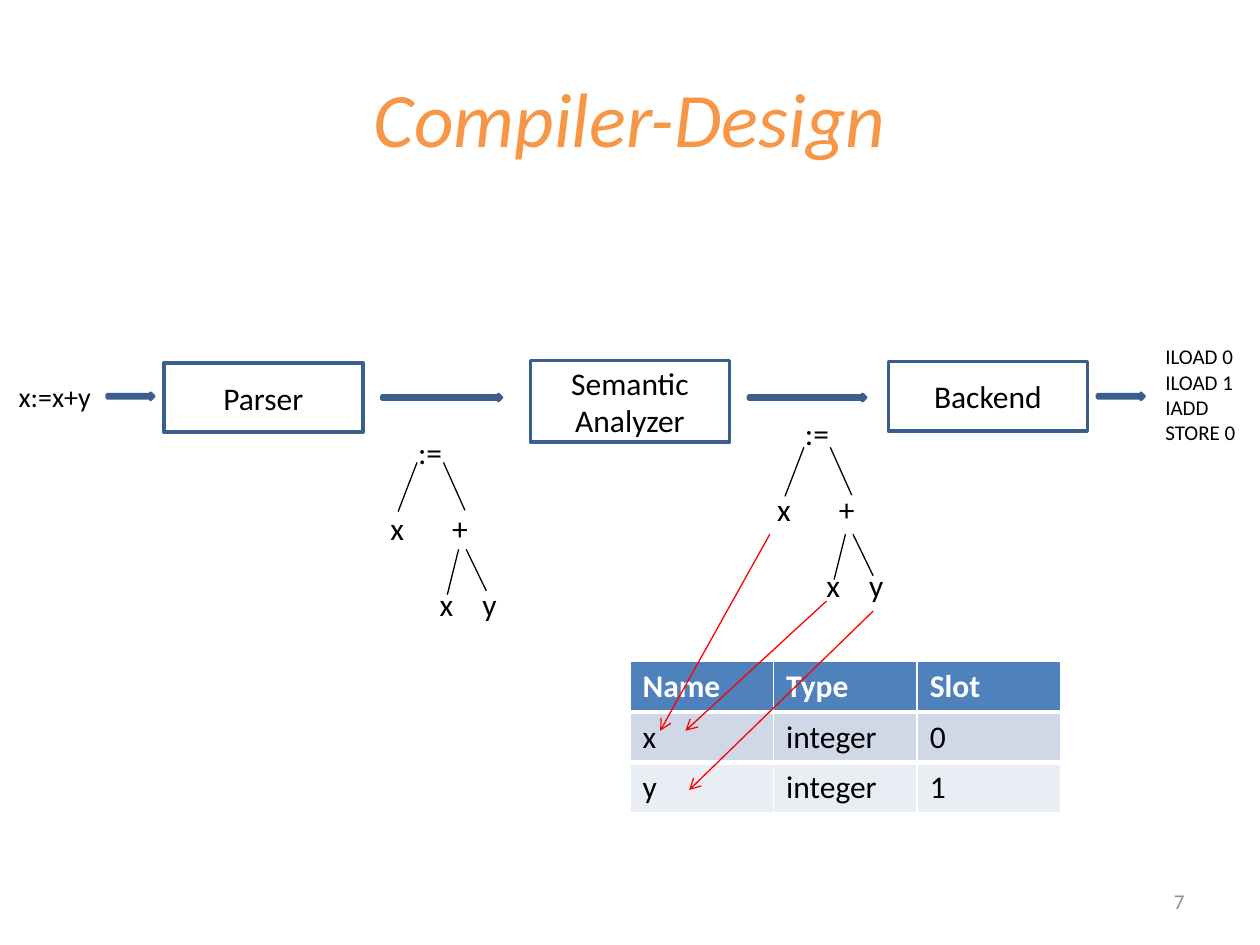
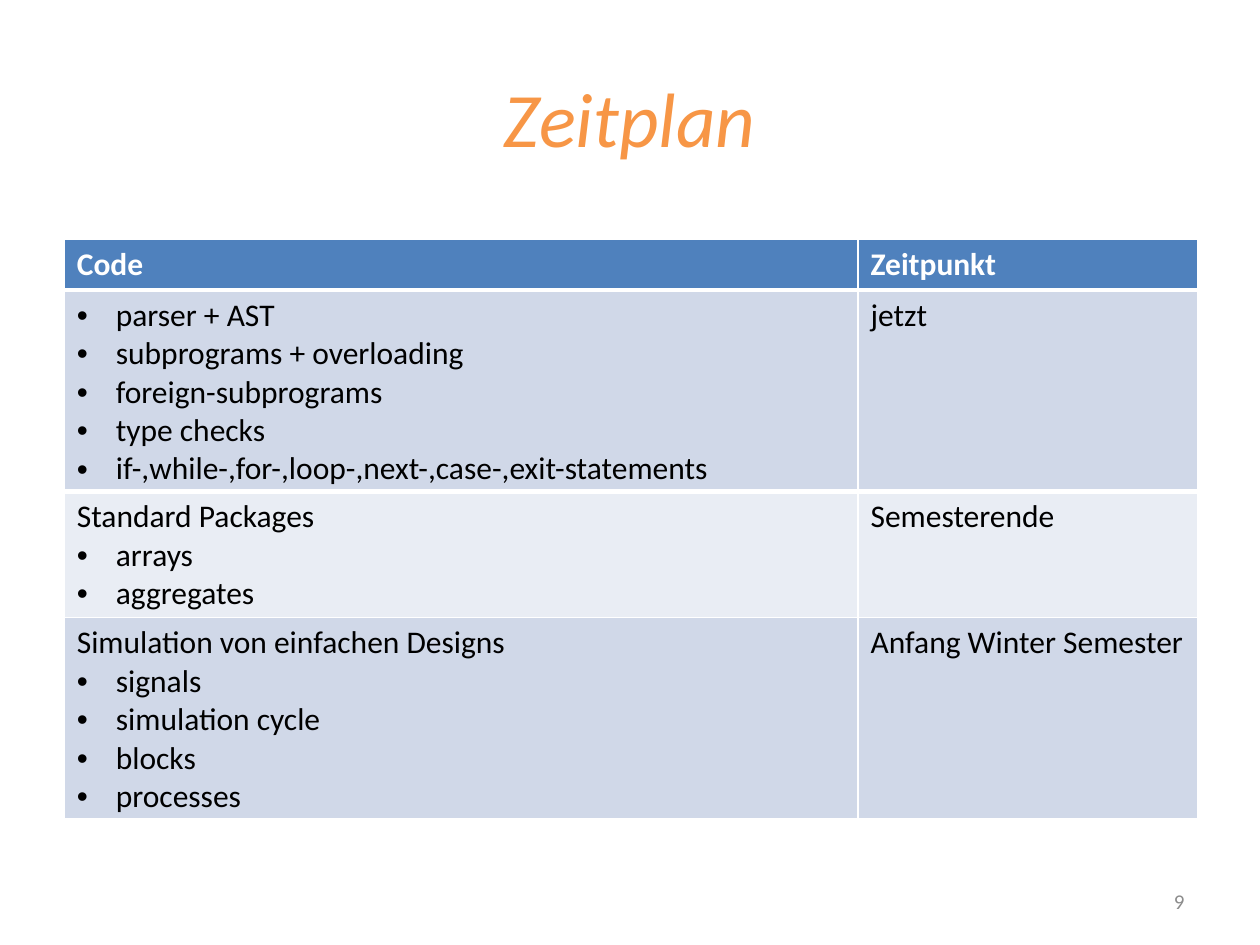
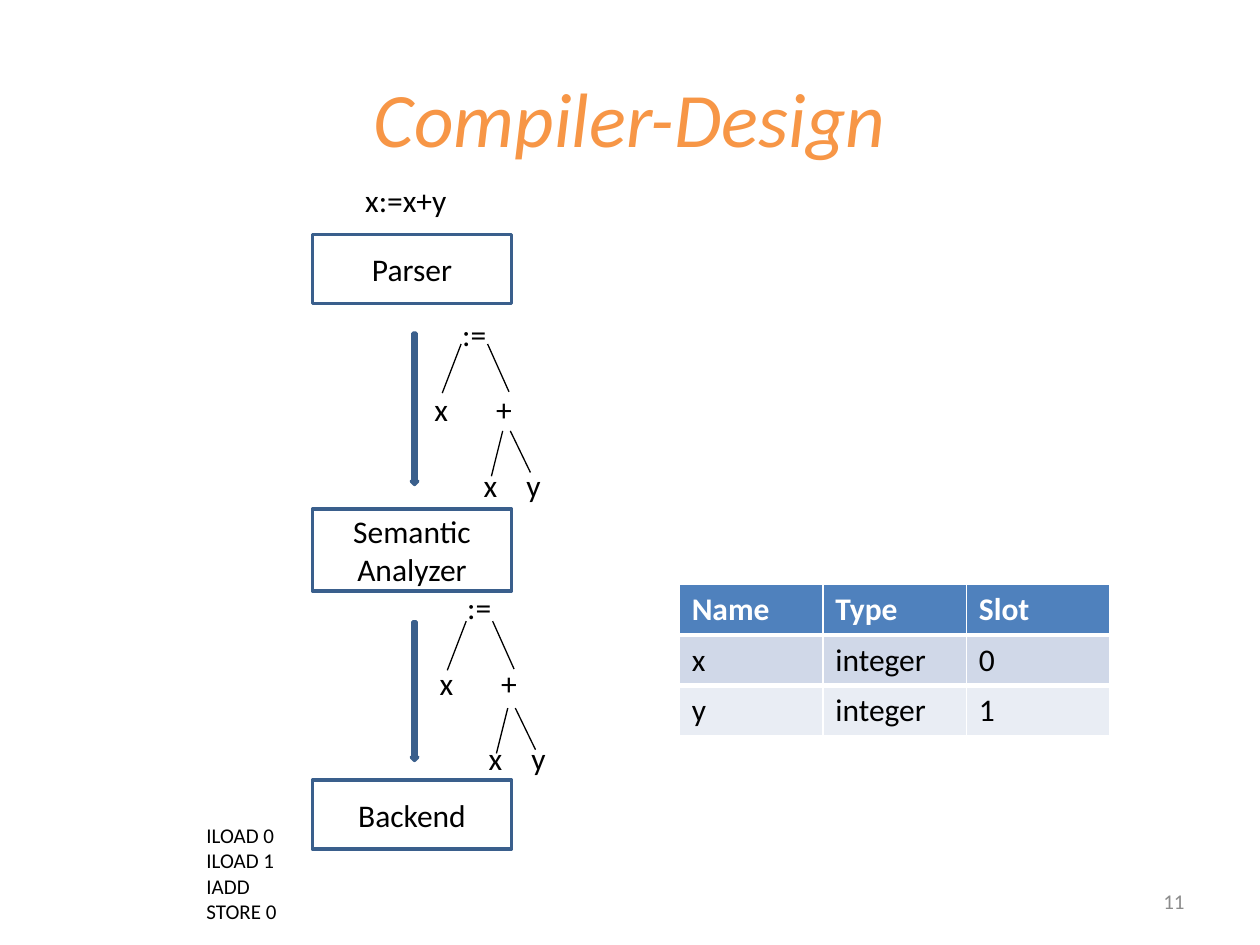
from lxml import etree
from pptx import Presentation
from pptx import util as u
from pptx.dml.color import RGBColor
from pptx.enum import shapes, text
from pptx.oxml import ns

FONT = "Calibri"
ORANGE = RGBColor(0xF7, 0x96, 0x46)
BLUE = RGBColor(0x4F, 0x81, 0xBD)
DARK_BLUE = RGBColor(0x3A, 0x5F, 0x8C)
PALE_BLUE = RGBColor(0xD0, 0xD8, 0xE8)
PALE_GREY = RGBColor(0xE9, 0xED, 0xF4)
GREY = RGBColor(0x8C, 0x8C, 0x8C)
RED = RGBColor(0xFF, 0, 0)
BLACK = RGBColor(0, 0, 0)
WHITE = RGBColor(0xFF, 0xFF, 0xFF)

TITLE_BOX = (0.5, 0.3, 9, 1.25)
NUMBER_BOX = (7.17, 6.95, 2.33, 0.4)
STAGE_WIDTH = 1.58
ARROW_THICKNESS = 0.05
LINE_HEIGHT = 0.3
BULLET_INDENT = 0.31
LEVEL_STEP = 0.6

SOURCE = "x:=x+y"
BYTECODE = "ILOAD 0\nILOAD 1\nIADD\nSTORE 0"
SYMBOLS = [("Name", "Type", "Slot"), ("x", "integer", "0"), ("y", "integer", "1")]
SCHEDULE = [
    ("Code", "Zeitpunkt"),
    ("• parser + AST\n• subprograms + overloading\n• foreign-subprograms\n• type checks\n"
     "• if-,while-,for-,loop-,next-,case-,exit-statements", "jetzt"),
    ("Standard Packages\n• arrays\n• aggregates", "Semesterende"),
    ("Simulation von einfachen Designs\n• signals\n• simulation cycle\n• blocks\n• processes",
     "Anfang Winter Semester"),
]
TREE_LEVELS = [[(":=", 0.22)], [("x", 0), ("+", 0.49)], [("x", 0.39), ("y", 0.73)]]
TREE_BRANCHES = [
    ((0.31, 0.28), (0.16, 0.67)), ((0.52, 0.28), (0.69, 0.66)),
    ((0.7, 0.97), (0.86, 1.3)), ((0.64, 0.97), (0.55, 1.33)),
]


def inches(*lengths):
    """Convert numbers to lengths."""
    return [u.Inches(length) for length in lengths]


def style_text(frame, size, color, align=None, bold=False, italic=False):
    """Format every run of a text frame."""
    for paragraph in frame.paragraphs:
        paragraph.alignment = align
        for run in paragraph.runs:
            font = run.font
            font.name, font.size, font.color.rgb = FONT, u.Pt(size), color
            font.bold, font.italic = bold, italic


def add_label(slide, box, wording, size, color=BLACK, align=None, anchor=text.MSO_ANCHOR.TOP):
    """Add a wrapping text box."""
    frame = slide.shapes.add_textbox(*inches(*box)).text_frame
    frame.word_wrap = True
    frame.vertical_anchor = anchor
    frame.text = wording
    style_text(frame, size, color, align)


def add_titled_slide(deck, title, number):
    """Add a slide with the shared title style and page number."""
    slide = deck.slides.add_slide(deck.slide_layouts[5])
    heading = slide.shapes.title
    heading.left, heading.top, heading.width, heading.height = inches(*TITLE_BOX)
    heading.text_frame.text = title
    style_text(heading.text_frame, 44, ORANGE, text.PP_ALIGN.CENTER, italic=True)
    add_label(slide, NUMBER_BOX, str(number), 12, GREY, text.PP_ALIGN.RIGHT,
              text.MSO_ANCHOR.MIDDLE)
    return slide


def add_outlined(slide, kind, box, fill):
    """Add a preset shape with the dark blue outline."""
    outlined = slide.shapes.add_shape(kind, *inches(*box))
    outlined.shadow.inherit = False
    outlined.fill.solid()
    outlined.fill.fore_color.rgb = fill
    outlined.line.color.rgb = DARK_BLUE
    outlined.line.width = u.Pt(2)
    return outlined


def add_stage(slide, left, top, name, height=0.55):
    """Add one compiler stage."""
    stage = add_outlined(slide, shapes.MSO_SHAPE.RECTANGLE,
                         (left, top, STAGE_WIDTH, height), WHITE)
    stage.text_frame.word_wrap = True
    stage.text_frame.vertical_anchor = text.MSO_ANCHOR.MIDDLE
    stage.text_frame.text = name
    style_text(stage.text_frame, 18, BLACK, text.PP_ALIGN.CENTER)


def add_flow(slide, left, top, length, rotation=0):
    """Add a thin block arrow between stages."""
    flow = add_outlined(slide, shapes.MSO_SHAPE.RIGHT_ARROW,
                        (left, top, length, ARROW_THICKNESS), BLUE)
    flow.rotation = rotation


def add_line(slide, start, end, color=BLACK, arrow=False):
    """Add a thin straight line, with an arrowhead at its end if wanted."""
    line = slide.shapes.add_connector(shapes.MSO_CONNECTOR.STRAIGHT, *inches(*start, *end))
    line.line.color.rgb = color
    line.line.width = u.Pt(0.75)
    if arrow:
        etree.SubElement(line.line._get_or_add_ln(), ns.qn("a:tailEnd"), type="arrow")
    etree.SubElement(line._element.spPr, ns.qn("a:effectLst"))


def add_syntax_tree(slide, left, top, branch_drop=0):
    """Add the syntax tree of the assignment."""
    for depth, level in enumerate(TREE_LEVELS):
        for node, offset in level:
            add_label(slide, (left + offset, top + depth * LEVEL_STEP, 0.5, 0.4), node, 18)
    for branch in TREE_BRANCHES:
        add_line(slide, *((left + x, top + y + branch_drop) for x, y in branch))


def add_border(cell, side):
    """Draw the thick white rule under the header on one side of a cell."""
    border = etree.SubElement(cell._tc.get_or_add_tcPr(), ns.qn(side), w=str(u.Pt(3)))
    paint = etree.SubElement(border, ns.qn("a:solidFill"))
    etree.SubElement(paint, ns.qn("a:srgbClr"), val=str(WHITE))


def fill_cell(cell, wording, row):
    """Fill a table cell, turning marked lines into bullets."""
    lines = wording.split("\n")
    frame = cell.text_frame
    frame.text = "\n".join(line.removeprefix("• ") for line in lines)
    style_text(frame, 18, BLACK if row else WHITE, bold=not row)
    for paragraph, line in zip(frame.paragraphs, lines):
        if line.startswith("•"):
            properties = paragraph._p.get_or_add_pPr()
            properties.set("marL", str(u.Inches(BULLET_INDENT)))
            properties.set("indent", str(-u.Inches(BULLET_INDENT)))
            etree.SubElement(properties, ns.qn("a:buFont"), typeface="Arial")
            etree.SubElement(properties, ns.qn("a:buChar"), char="•")
    if row < 2:
        add_border(cell, "a:lnT" if row else "a:lnB")
    cell.fill.solid()
    cell.fill.fore_color.rgb = (PALE_BLUE if row % 2 else PALE_GREY) if row else BLUE


def add_grid(slide, left, top, widths, rows):
    """Add a banded table whose rows fit their longest cell."""
    heights = [0.1 + LINE_HEIGHT * max(cell.count("\n") + 1 for cell in row) for row in rows]
    grid = slide.shapes.add_table(len(rows), len(widths),
                                  *inches(left, top, sum(widths), sum(heights))).table
    for column, width in zip(grid.columns, widths):
        column.width = u.Inches(width)
    for index, (row, height) in enumerate(zip(rows, heights)):
        grid.rows[index].height = u.Inches(height)
        for column, wording in enumerate(row):
            fill_cell(grid.cell(index, column), wording, index)


def add_symbol_table(slide, left, top):
    """Add the compiler's symbol table."""
    add_grid(slide, left, top, [1.14] * 3, SYMBOLS)


def build_horizontal_design(deck):
    """Show the compiler stages from left to right."""
    slide = add_titled_slide(deck, "Compiler-Design", 7)
    add_label(slide, (0.05, 2.96, 1, 0.37), SOURCE, 16)
    add_stage(slide, 1.3, 2.88, "Parser")
    add_stage(slide, 4.21, 2.86, "Semantic Analyzer", 0.65)
    add_stage(slide, 7.05, 2.87, "Backend")
    add_label(slide, (9.15, 2.68, 0.81, 0.91), BYTECODE, 12)
    for flow in [(0.85, 3.12, 0.37), (3.03, 3.13, 0.95), (5.94, 3.13, 0.93), (8.71, 3.12, 0.37)]:
        add_flow(slide, *flow)
    add_symbol_table(slide, 5, 5.25)
    add_syntax_tree(slide, 3, 3.39)
    add_syntax_tree(slide, 6.07, 3.24, 0.03)
    for leaf, entry in [((6.56, 4.77), (5.44, 5.8)), ((6.93, 4.85), (5.47, 6.27)),
                        ((6.11, 4.24), (5.24, 5.8))]:
        add_line(slide, leaf, entry, RED, arrow=True)


def build_schedule(deck):
    """Show the schedule table."""
    slide = add_titled_slide(deck, "Zeitplan", 9)
    add_grid(slide, 0.51, 1.9, [6.3, 2.7], SCHEDULE)


def build_vertical_design(deck):
    """Show the compiler stages from top to bottom."""
    slide = add_titled_slide(deck, "Compiler-Design", 11)
    left = 2.48
    add_label(slide, (2.8, 1.39, 1, 0.4), SOURCE, 18)
    add_stage(slide, left, 1.86, "Parser")
    add_stage(slide, left, 4.04, "Semantic Analyzer", 0.65)
    add_stage(slide, left, 6.19, "Backend")
    add_label(slide, (1.54, 6.48, 0.81, 0.91), BYTECODE, 12)
    add_flow(slide, 2.69, 3.22, 1.2, 90)
    add_flow(slide, 2.74, 5.46, 1.1, 90)
    add_symbol_table(slide, 5.39, 4.64)
    add_syntax_tree(slide, 3.35, 2.45)
    add_syntax_tree(slide, 3.39, 4.62, 0.03)


def main():
    """Build and save the deck."""
    deck = Presentation()
    deck.slide_width, deck.slide_height = inches(10, 7.5)
    build_horizontal_design(deck)
    build_schedule(deck)
    build_vertical_design(deck)
    deck.save("out.pptx")


if __name__ == "__main__":
    main()
